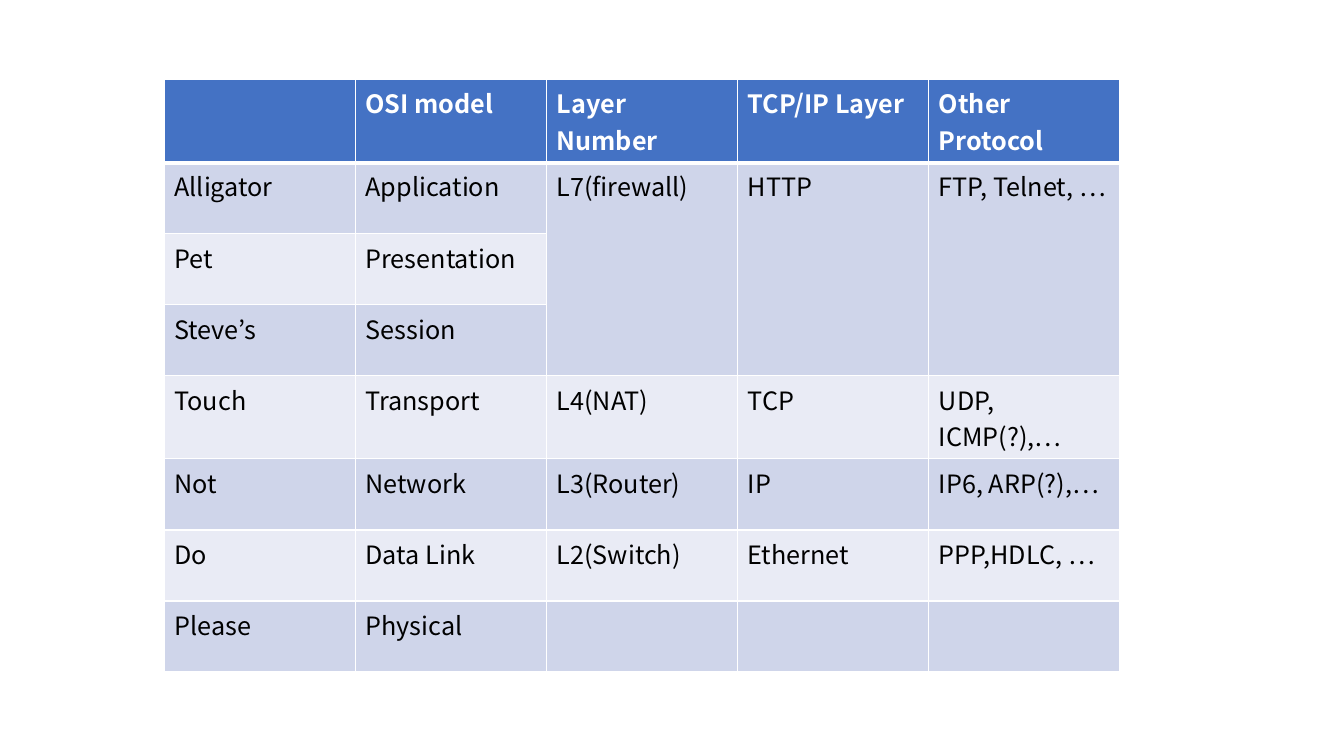
import pptx
import pptx.util
import pptx.dml.color
import pptx.oxml.ns
import lxml.etree

COLORS = {
    "header": "4472C4",
    "odd": "CFD5EA",
    "even": "E9EBF5",
    "white": "FFFFFF",
    "black": "000000",
}
FONT = "Noto Sans CJK KR"
qn = pptx.oxml.ns.qn


def write(cell, text, size=18, color="black", bold=False):
    paragraph = cell.text_frame.paragraphs[0]
    paragraph.font.size = pptx.util.Pt(size)
    if not text:
        return
    run = paragraph.add_run()
    run.text = text
    run.font.size = pptx.util.Pt(size)
    run.font.bold = bold
    run.font.name = FONT
    run.font.color.rgb = pptx.dml.color.RGBColor.from_string(COLORS[color])
    east_asian = lxml.etree.SubElement(run.font._element, qn("a:ea"))
    east_asian.set("typeface", FONT)


def add_borders(cell, **widths):
    properties = cell._tc.get_or_add_tcPr()
    for position, (side, width) in enumerate(widths.items()):
        line = lxml.etree.Element(qn(f"a:ln{side}"), w=str(pptx.util.Pt(width)))
        fill = lxml.etree.SubElement(line, qn("a:solidFill"))
        lxml.etree.SubElement(fill, qn("a:srgbClr"), val=COLORS["white"])
        properties.insert(position, line)


layers = [
    ["", "OSI model", "Layer Number", "TCP/IP Layer", "Other Protocol"],
    ["Alligator", "Application", "L7(firewall)", "HTTP", "FTP, Telnet, …"],
    ["Pet", "Presentation", "", "", ""],
    ["Steve’s", "Session", "", "", ""],
    ["Touch", "Transport", "L4(NAT)", "TCP", "UDP, ICMP(?),…"],
    ["Not", "Network", "L3(Router)", "IP", "IP6, ARP(?),…"],
    ["Do", "Data Link", "L2(Switch)", "Ethernet", "PPP,HDLC, …"],
    ["Please", "Physical", "", "", ""],
]

presentation = pptx.Presentation()
presentation.slide_width = pptx.util.Inches(13.33)
presentation.slide_height = pptx.util.Inches(7.5)
slide = presentation.slides.add_slide(presentation.slide_layouts[6])

osi_table = slide.shapes.add_table(
    len(layers), len(layers[0]),
    pptx.util.Inches(1.63), pptx.util.Inches(0.79),
    pptx.util.Inches(9.48), pptx.util.Inches(5.64),
).table

for row, layer in enumerate(layers):
    header = row == 0
    band = "header" if header else "odd" if row % 2 else "even"
    for column, text in enumerate(layer):
        cell = osi_table.cell(row, column)
        cell.fill.solid()
        cell.fill.fore_color.rgb = pptx.dml.color.RGBColor.from_string(COLORS[band])
        write(cell, text, color="white" if header else "black", bold=header)
        add_borders(cell, L=1, R=1, T=3 if row == 1 else 1, B=3 if header else 1)

for column in range(2, 5):
    osi_table.cell(1, column).merge(osi_table.cell(3, column))

presentation.save("out.pptx")
